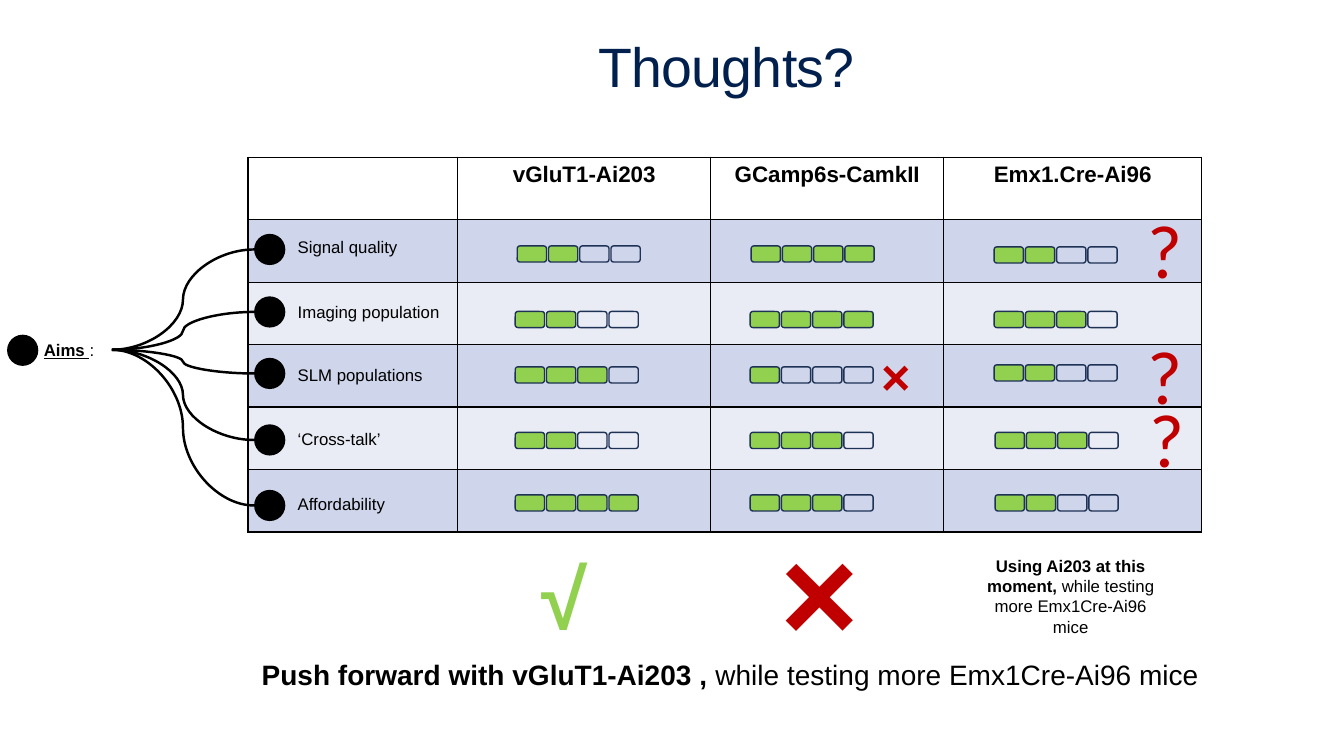
"""Build a slide scoring three mouse lines against five aims."""
from lxml import etree
from pptx import Presentation
from pptx.dml.color import RGBColor
from pptx.enum.shapes import MSO_CONNECTOR, MSO_SHAPE
from pptx.enum.text import MSO_ANCHOR, MSO_AUTO_SIZE, PP_ALIGN
from pptx.oxml.ns import qn
from pptx.util import Inches, Pt

CURVE = MSO_CONNECTOR.CURVE
OVAL, ROUND = MSO_SHAPE.OVAL, MSO_SHAPE.ROUNDED_RECTANGLE
TOP, MIDDLE = MSO_ANCHOR.TOP, MSO_ANCHOR.MIDDLE
LEFT, CENTER = PP_ALIGN.LEFT, PP_ALIGN.CENTER
GROW = MSO_AUTO_SIZE.SHAPE_TO_FIT_TEXT

COLORS = {
    "black": "000000", "navy": "01204E", "outline": "1E3256", "green": "92D050",
    "red": "C00000", "band": "CFD5EA", "pale": "E9EBF5",
}
HEADERS = ["", "vGluT1-Ai203", "GCamp6s-CamkII", "Emx1.Cre-Ai96"]
COL_WIDTHS = [2.08, 2.51, 2.31, 2.56]
ROW_HEIGHT = 0.62
TABLE_AT = (2.46, 1.56, 9.46, 3.73)

# aim, label top, label width, dot top, gauges as (left, top, score)
AIMS = [
    ("Signal quality", 2.2, 4.96, 2.32, [(5.13, 2.44, 2), (7.45, 2.44, 4), (9.86, 2.45, 2)]),
    ("Imaging population", 2.85, 7.28, 2.94, [(5.11, 3.09, 2), (7.44, 3.09, 4), (9.86, 3.09, 3)]),
    ("SLM populations", 3.47, 7.28, 3.55, [(5.11, 3.64, 3), (7.44, 3.64, 1), (9.86, 3.62, 2)]),
    ("‘Cross-talk’", 4.11, 7.28, 4.21, [(5.11, 4.29, 2), (7.44, 4.29, 3), (9.87, 4.29, 3)]),
    ("Affordability", 4.75, 3.26, 4.86, [(5.11, 4.91, 4), (7.44, 4.91, 3), (9.87, 4.91, 2)]),
]
LABEL_LEFT, LABEL_HEIGHT = 2.83, 0.49
DOT_LEFT, DOT_SIZE = 2.52, 0.31
GAUGE_STEPS, GAUGE_PITCH, STEP_SIZE = 4, 0.31, (0.29, 0.16)

DOUBTS = [(11.3, 1.96), (11.3, 3.21), (11.32, 3.84)]
VERDICTS = [
    ("√", (5.17, 5.53, 0.85, 0.77), 60, "green"),
    ("×", (7.61, 5.46, 0.85, 0.77), 96, "red"),
    ("×", (8.46, 3.34, 0.85, 0.77), 36, "red"),
]
NOTE = [("Using Ai203 at this moment, ", True), ("while testing more Emx1Cre-Ai96 mice", False)]
CONCLUSION = [("Push forward with vGluT1-Ai203 , ", True), ("while testing more Emx1Cre-Ai96 mice", False)]


def rgb(name):
    return RGBColor.from_string(COLORS[name])


def write(tf, runs, size=12, color="black", bold=False, align=LEFT, anchor=MIDDLE, font="Arial"):
    """Fill a text frame with one paragraph from a string or (text, bold) runs."""
    tf.word_wrap = True
    tf.vertical_anchor = anchor
    p = tf.paragraphs[0]
    p.alignment = align
    for text, strong in [(runs, bold)] if isinstance(runs, str) else runs:
        r = p.add_run()
        r.text = text
        r.font.name, r.font.size, r.font.bold = font, Pt(size), strong
        r.font.color.rgb = rgb(color)
    return p


def add_shape(shapes, kind, box, fill=None, line=None):
    sp = shapes.add_shape(kind, *map(Inches, box))
    sp.shadow.inherit = False
    if fill:
        sp.fill.solid()
        sp.fill.fore_color.rgb = rgb(fill)
    else:
        sp.fill.background()
    if line:
        sp.line.color.rgb = rgb(line)
        sp.line.width = Pt(1)
    else:
        sp.line.fill.background()
    return sp


def add_label(s, runs, box, **fmt):
    sp = add_shape(s.shapes, ROUND, box)
    return sp, write(sp.text_frame, runs, **fmt)


def add_dot(s, left, top):
    return add_shape(s.shapes, OVAL, (left, top, DOT_SIZE, DOT_SIZE), "black")


def add_textbox(s, box, text, **fmt):
    sp = s.shapes.add_textbox(*map(Inches, box))
    return sp, write(sp.text_frame, text, align=CENTER, **fmt)


def border_cell(cell):
    tc_pr = cell._tc.get_or_add_tcPr()
    for i, side in enumerate(("lnL", "lnR", "lnT", "lnB")):
        ln = etree.Element(qn(f"a:{side}"), w=str(Pt(1)))
        fill = etree.SubElement(ln, qn("a:solidFill"))
        etree.SubElement(fill, qn("a:srgbClr"), val=COLORS["black"])
        tc_pr.insert(i, ln)


def add_score_table(s):
    rows = len(AIMS) + 1
    table = s.shapes.add_table(rows, len(HEADERS), *map(Inches, TABLE_AT)).table
    table.first_row = table.horz_banding = False
    for col, width in zip(table.columns, COL_WIDTHS):
        col.width = Inches(width)
    for i, row in enumerate(table.rows):
        row.height = Inches(ROW_HEIGHT)
        for cell, header in zip(row.cells, HEADERS):
            if i:
                cell.fill.solid()
                cell.fill.fore_color.rgb = rgb("band" if i % 2 else "pale")
            else:
                cell.fill.background()
                if header:
                    write(cell.text_frame, header, size=16, bold=True, align=CENTER, anchor=TOP)
            border_cell(cell)


def add_gauge(s, left, top, score):
    group = s.shapes.add_group_shape()
    for i in range(GAUGE_STEPS):
        box = (left + i * GAUGE_PITCH, top, *STEP_SIZE)
        add_shape(group.shapes, ROUND, box, "green" if i < score else None, "outline")


def add_branch(s, hub, dot):
    cx = s.shapes.add_connector(CURVE, 0, 0, 0, 0)
    cx.begin_connect(hub, 3)
    cx.end_connect(dot, 2)
    cx.begin_x, cx.begin_y = Inches(1.11), Inches(3.47)
    cx.end_x, cx.end_y = dot.left, dot.top + dot.height // 2
    cx.line.color.rgb = rgb("black")
    cx.line.width = Pt(1.75)
    etree.SubElement(cx._element.spPr, qn("a:effectLst"))


def main():
    prs = Presentation()
    prs.slide_width, prs.slide_height = Inches(13.33), Inches(7.5)
    s = prs.slides.add_slide(prs.slide_layouts[6])

    add_score_table(s)
    title, p = add_textbox(s, (1.83, 0.36, 10.75, 0.66), "Thoughts?", size=39.6, color="navy")
    p.line_spacing = 0.9
    p.runs[0].font._element.set("spc", "-50")

    add_dot(s, 0.07, 3.32)
    hub, p = add_label(s, [("Aims ", True), (":", False)], (0.26, 3.09, 0.85, 0.77), align=CENTER)
    p.runs[0].font.underline = True

    for aim, label_top, label_width, dot_top, gauges in AIMS:
        add_branch(s, hub, add_dot(s, DOT_LEFT, dot_top))
        add_label(s, aim, (LABEL_LEFT, label_top, label_width, LABEL_HEIGHT))
        for gauge in gauges:
            add_gauge(s, *gauge)

    for left, top in DOUBTS:
        sp, p = add_textbox(s, (left, top, 0.18, 1.01), "?", size=54, color="red", font="Calibri", anchor=TOP)
        sp.text_frame.auto_size = GROW
    for mark, box, size, color in VERDICTS:
        add_label(s, mark, box, size=size, color=color, bold=True, align=CENTER)
    add_label(s, NOTE, (9.57, 5.53, 2.1, 0.77), align=CENTER)
    add_label(s, CONCLUSION, (2.46, 6.3, 9.86, 0.77), size=20)

    prs.save("out.pptx")


if __name__ == "__main__":
    main()
